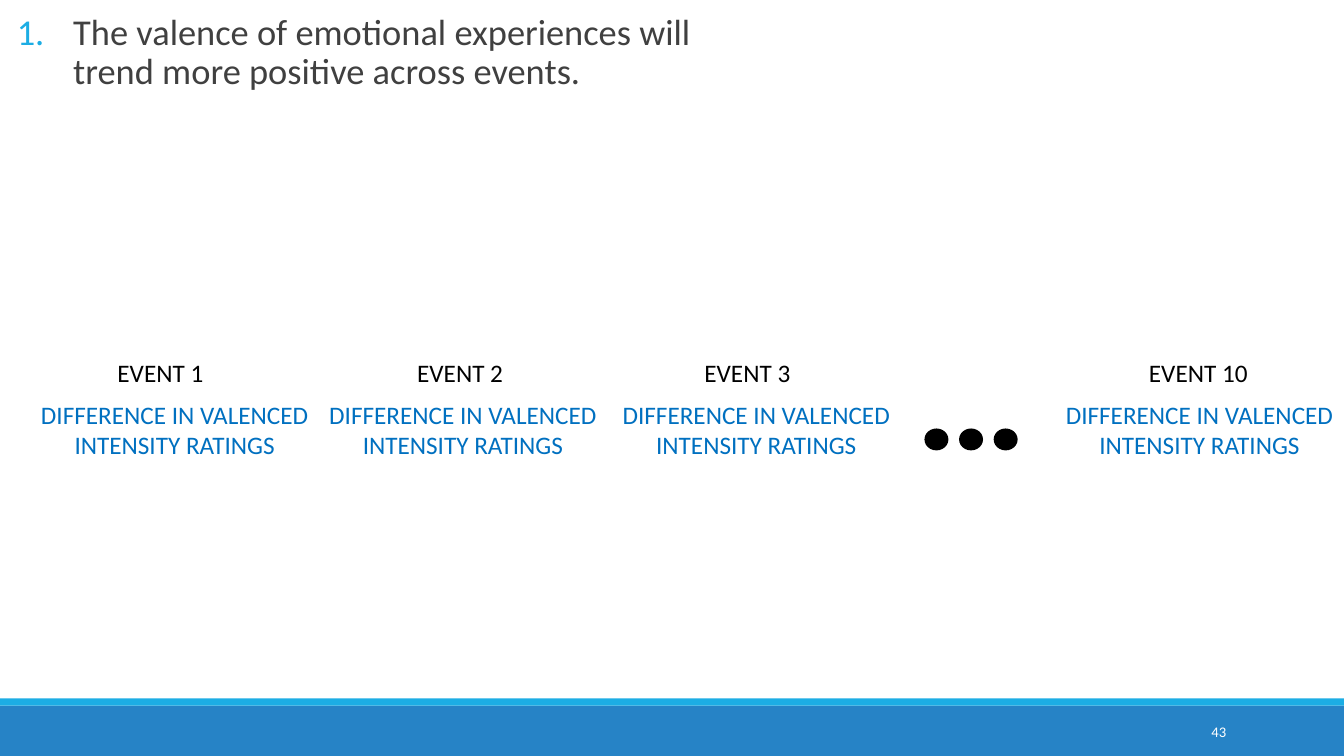
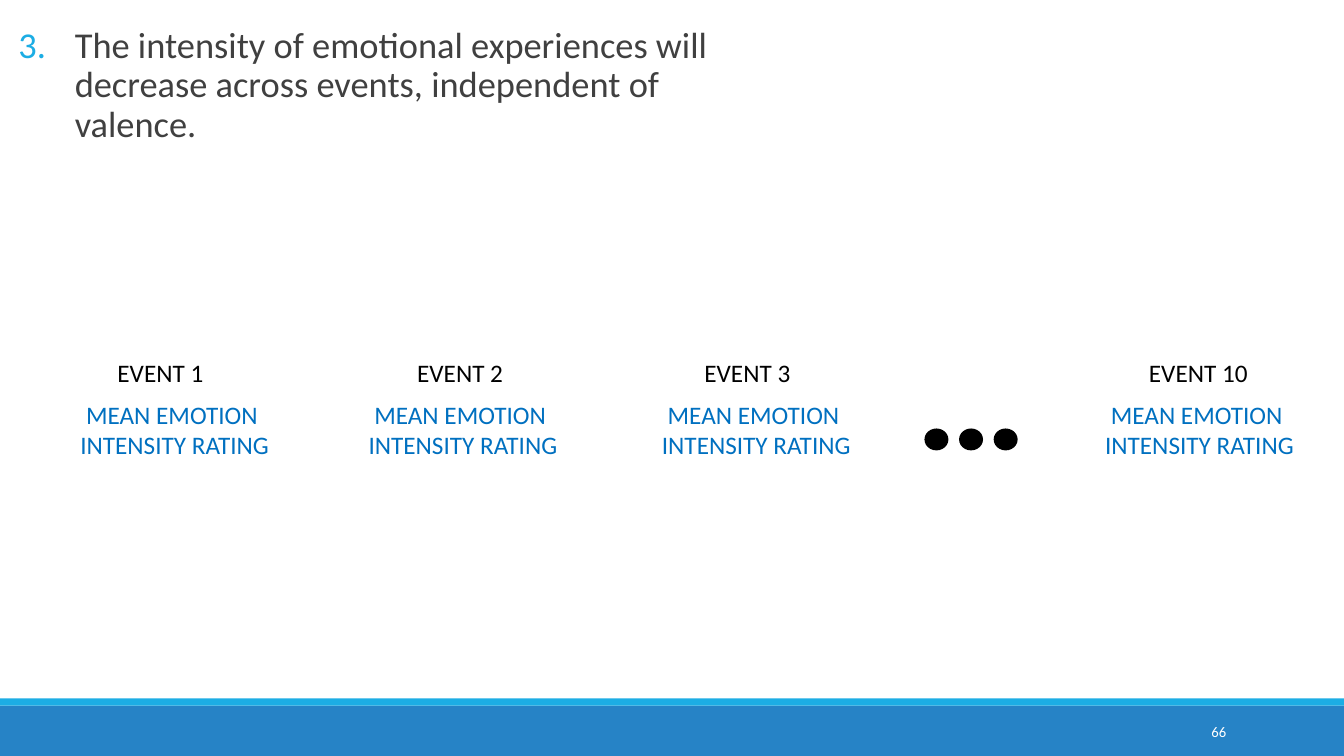
from lxml.etree import SubElement
from pptx import Presentation
from pptx.dml.color import RGBColor as Color
from pptx.enum.shapes import MSO_SHAPE as Preset
from pptx.enum.text import MSO_ANCHOR as Anchor, MSO_AUTO_SIZE as AutoSize, PP_ALIGN as Align
from pptx.oxml.ns import qn
from pptx.util import Inches, Pt

COLORS = {
    "band": "2683C6",
    "accent": "1CADE4",
    "measure": "0070C0",
    "statement": "404040",
    "black": "000000",
    "white": "FFFFFF",
}
FONT = "Calibri"
COLUMNS, ROWS = 40, 30

EVENTS = [
    ("EVENT 1", 3.2, 3.27, 0.9),
    ("EVENT 2", 12.12, 3.27, 9.48),
    ("EVENT 3", 20.67, 3.27, 18.21),
    ("EVENT 10", 33.9, 3.66, 31.4),
]
HYPOTHESES = [
    {
        "page": "43",
        "number": 1,
        "statement": "The valence of emotional experiences will trend more positive across events.",
        "measure": ["DIFFERENCE IN VALENCED INTENSITY RATINGS"],
        "corner": (0.5, 0.36),
        "inset": 0,
    },
    {
        "page": "66",
        "number": 3,
        "statement": "The intensity of emotional experiences will decrease across events, "
                     "independent of valence.",
        "measure": ["MEAN EMOTION ", "INTENSITY RATING"],
        "corner": (0.25, 0.88),
        "inset": 0.1,
    },
]


class Deck:
    """Holds the shared style and the current slide, measured in grid columns and rows."""

    def __init__(self):
        self.presentation = Presentation()
        self.presentation.slide_width = Inches(13.33)
        self.presentation.slide_height = Inches(7.5)
        self.slide = None

    def place(self, left, top, width, height):
        """Turn columns and rows into slide lengths."""
        column = self.presentation.slide_width / COLUMNS
        row = self.presentation.slide_height / ROWS
        return [round(n) for n in (left * column, top * row, width * column, height * row)]

    def add_slide(self, page):
        """Start a slide with its footer bands and page number."""
        self.slide = self.presentation.slides.add_slide(self.presentation.slide_layouts[6])
        self.shape(Preset.RECTANGLE, (0, 28, COLUMNS, 2), "band")
        self.shape(Preset.RECTANGLE, (0, 27.72, COLUMNS, 0.28), "accent")
        frame = self.text((32.5, 28.24, 4.29, 1.6), [page], 10.5, "white", Align.RIGHT)
        frame.vertical_anchor = Anchor.MIDDLE

    def shape(self, preset, box, color, line_width=None):
        """Draw a filled preset shape, outlined in the same colour if a width is given."""
        shape = self.slide.shapes.add_shape(preset, *self.place(*box))
        shape.shadow.inherit = False
        shape.fill.solid()
        shape.fill.fore_color.rgb = Color.from_string(COLORS[color])
        if line_width is None:
            shape.line.fill.background()
        else:
            shape.line.color.rgb = Color.from_string(COLORS[color])
            shape.line.width = Pt(line_width)

    def text(self, box, lines, size, color, align=Align.LEFT):
        """Add a wrapping text box with one paragraph per line and return its frame."""
        frame = self.slide.shapes.add_textbox(*self.place(*box)).text_frame
        frame.word_wrap = True
        for index, line in enumerate(lines):
            paragraph = frame.add_paragraph() if index else frame.paragraphs[0]
            paragraph.alignment = align
            run = paragraph.add_run()
            run.text = line
            run.font.name = FONT
            run.font.size = Pt(size)
            run.font.color.rgb = Color.from_string(COLORS[color])
        return frame

    def statement(self, corner, number, line, inset):
        """Add a numbered statement with a hanging indent."""
        frame = self.text((*corner, 22.14, 18.08), [line], 26, "statement")
        frame.margin_left = frame.margin_right = Inches(inset)
        paragraph = frame.paragraphs[0]
        properties = paragraph._p.get_or_add_pPr()
        properties.set("marL", str(Inches(0.56)))
        properties.set("indent", str(Inches(-0.56)))
        bullet_color = SubElement(properties, qn("a:buClr"))
        SubElement(bullet_color, qn("a:srgbClr"), val=COLORS["accent"])
        SubElement(properties, qn("a:buAutoNum"), type="arabicPeriod", startAt=str(number))
        paragraph.line_spacing = 0.9
        paragraph.space_after = Pt(2)

    def event(self, name, name_left, name_width, measure, measure_left):
        """Add an event name with its measure below."""
        name_box = (name_left, 14, name_width, 1.6)
        measure_box = (measure_left, 15.64, 8.6, 2.84)
        for frame in (
            self.text(name_box, [name], 18, "black"),
            self.text(measure_box, measure, 18, "measure", Align.CENTER),
        ):
            frame.auto_size = AutoSize.SHAPE_TO_FIT_TEXT

    def ellipsis(self):
        """Draw three evenly spaced dots for the skipped events."""
        for index in range(3):
            self.shape(Preset.OVAL, (27.54 + 1.03 * index, 17.04, 0.66, 0.8), "black", 1.25)


def main():
    """Build one slide per hypothesis and save the presentation."""
    deck = Deck()
    for hypothesis in HYPOTHESES:
        deck.add_slide(hypothesis["page"])
        for name, name_left, name_width, measure_left in EVENTS:
            deck.event(name, name_left, name_width, hypothesis["measure"], measure_left)
        deck.ellipsis()
        deck.statement(hypothesis["corner"], hypothesis["number"],
                       hypothesis["statement"], hypothesis["inset"])
    deck.presentation.save("out.pptx")


if __name__ == "__main__":
    main()
